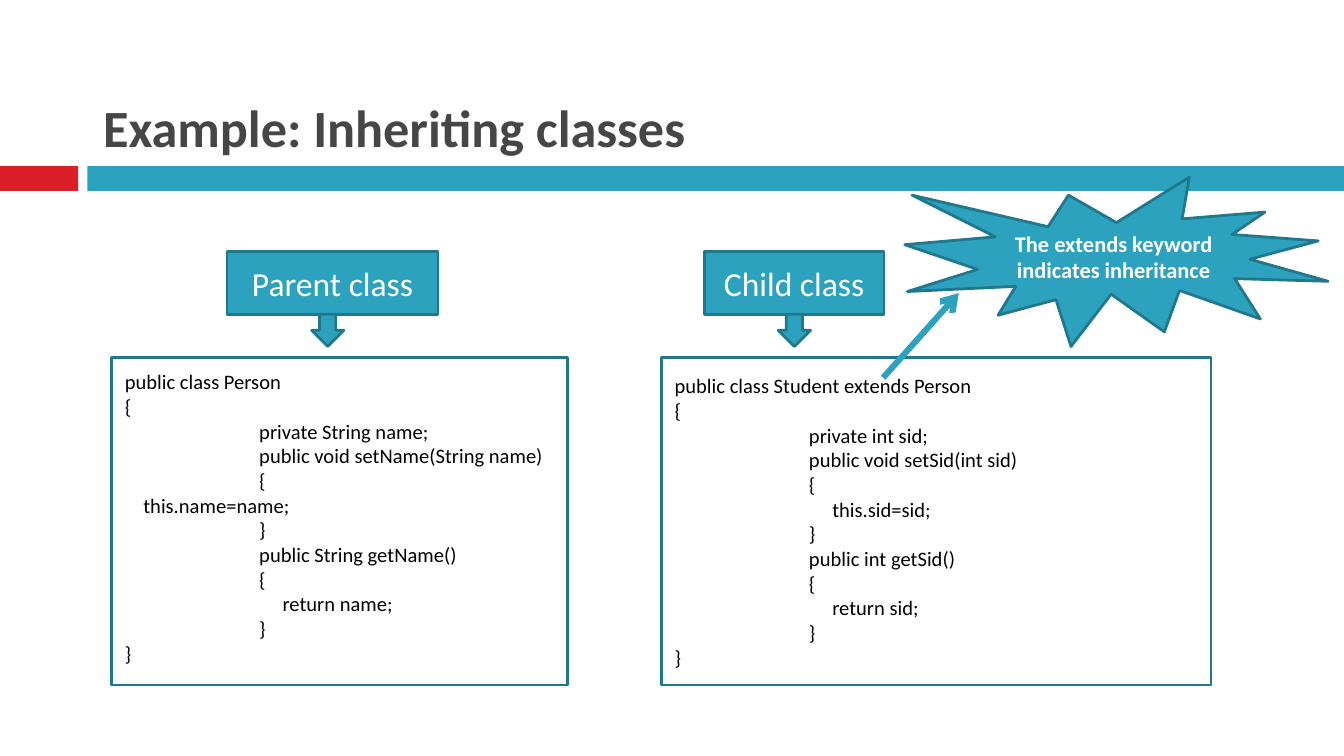
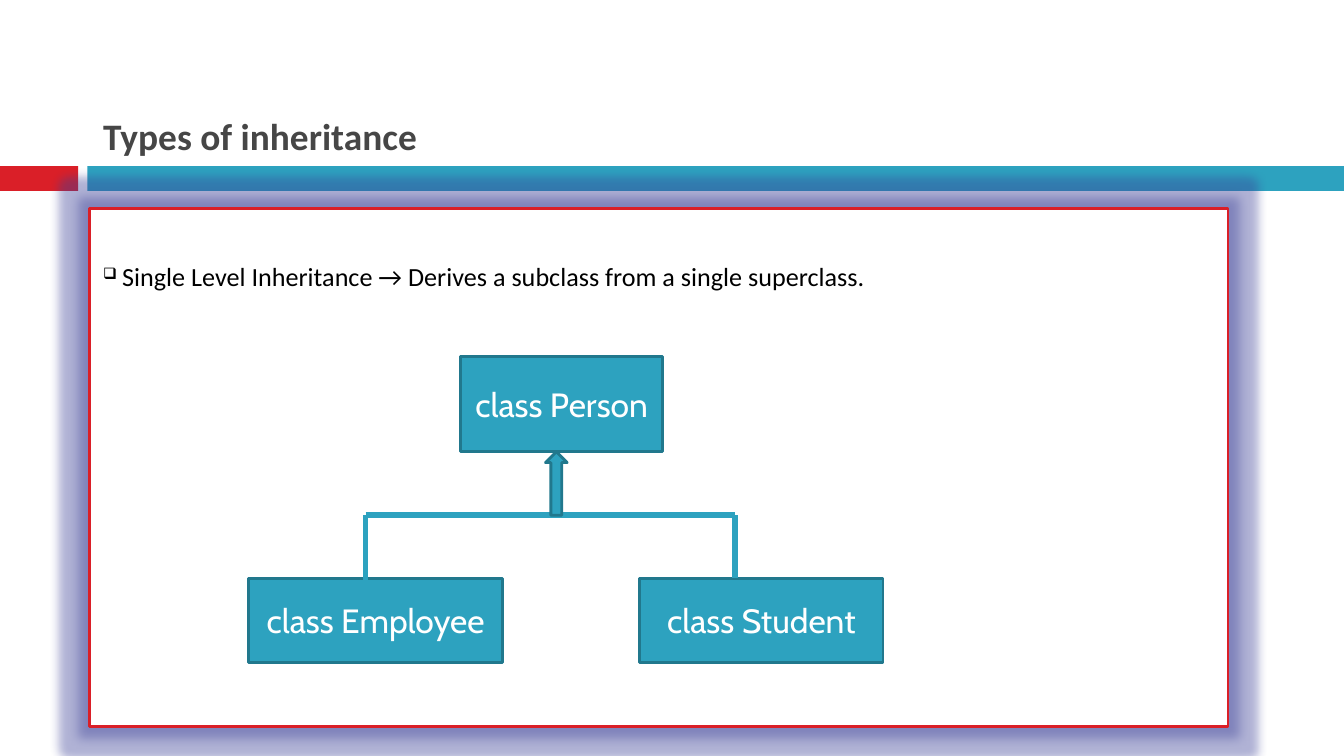
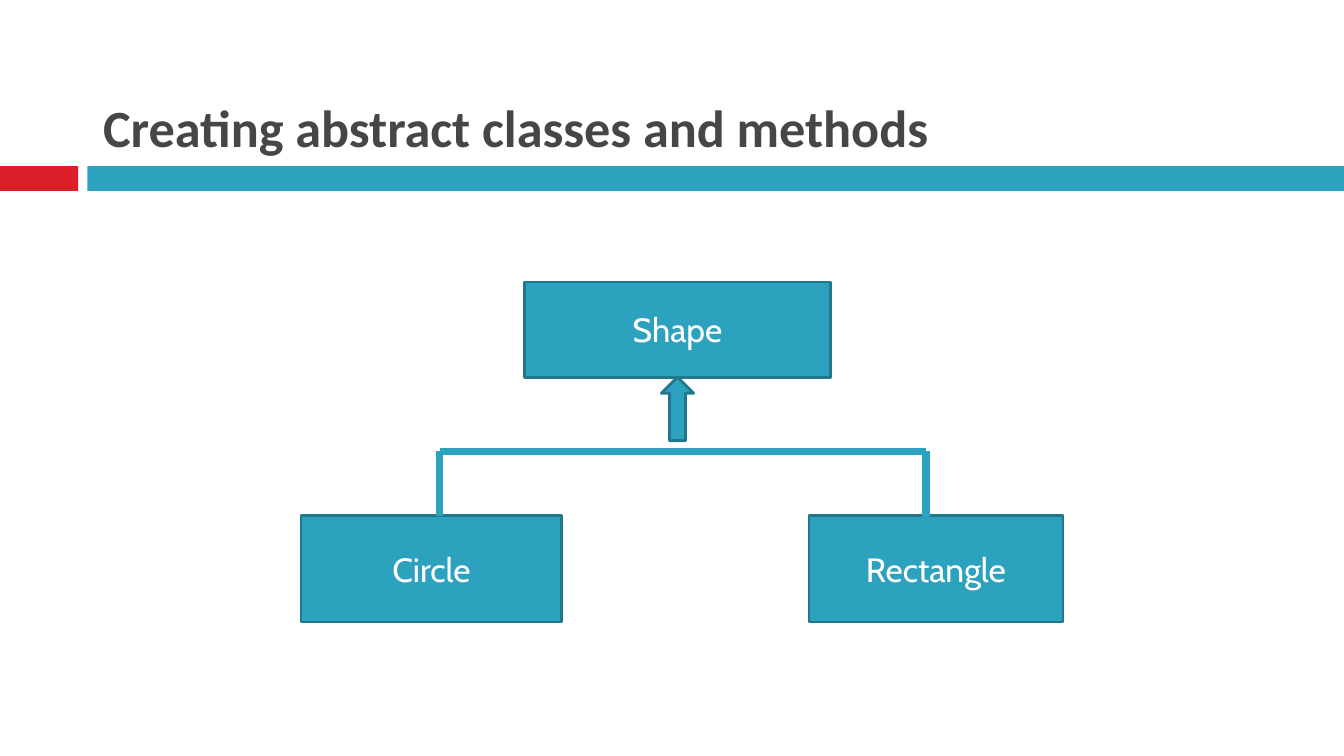
from collections import namedtuple
from dataclasses import dataclass

from lxml import etree
from pptx import Presentation
from pptx.dml.color import RGBColor
from pptx.enum import shapes, text
from pptx.oxml import ns
from pptx.util import Cm, Pt

Box = namedtuple("Box", "left top width height")
KIND = shapes.MSO_SHAPE
ALIGN = text.PP_ALIGN
ANCHOR = text.MSO_ANCHOR


@dataclass(frozen=True)
class Theme:
    white: str = "FFFFFF"
    black: str = "000000"
    ink: str = "464646"
    red: str = "DA1F28"
    teal: str = "2DA2BF"
    outline: str = "21788D"
    glow: str = "3A3F96"
    body_font: str = "Calibri"
    diagram_font: str = "Cabin"
    title_size: float = 28
    small_title_size: float = 20
    label_size: float = 18
    body_size: float = 14
    note_size: float = 12
    code_size: float = 11
    outline_width: float = 1.5


THEME = Theme()

PERSON_CODE = [
    (0, "public class Person"),
    (0, "{"),
    (2.54, "private String name;"),
    (2.54, "public void setName(String name)"),
    (2.54, "{"),
    (0.35, "this.name=name;"),
    (2.54, "}"),
    (2.54, "public String getName()"),
    (2.54, "{"),
    (2.98, "return name;"),
    (2.54, "}"),
    (0, "}"),
]

STUDENT_CODE = [
    (0, "public class Student extends Person"),
    (0, "{"),
    (2.54, "private int sid;"),
    (2.54, "public void setSid(int sid)"),
    (2.54, "{"),
    (2.98, "this.sid=sid;"),
    (2.54, "}"),
    (2.54, "public int getSid()"),
    (2.54, "{"),
    (2.98, "return sid;"),
    (2.54, "}"),
    (0, "}"),
]


def apply(target, values):
    for name, value in values.items():
        setattr(target, name, value)


def add_element(parent, tag, **attributes):
    element = etree.SubElement(parent, ns.qn(tag))
    for name, value in attributes.items():
        element.set(name, str(value))
    return element


def place(box, left, top, width, height):
    return Box(box.left + left, box.top + top, width, height)


def write(shape, lines, size, color, font=THEME.body_font, bold=False,
          align=ALIGN.LEFT, anchor=ANCHOR.MIDDLE, **margins):
    frame = shape.text_frame
    apply(frame, {"word_wrap": True, "vertical_anchor": anchor, **margins})
    for index, (indent, line) in enumerate(lines):
        paragraph = frame.paragraphs[0] if index == 0 else frame.add_paragraph()
        paragraph.alignment = align
        if indent:
            paragraph._p.get_or_add_pPr().set("marL", str(Cm(indent)))
        run = paragraph.add_run()
        run.text = line
        apply(run.font, {"name": font, "size": Pt(size), "bold": bold})
        run.font.color.rgb = RGBColor.from_string(color)


def add_block(slide, kind, box, fill=THEME.teal, outline=THEME.outline):
    shape = slide.shapes.add_shape(kind, *map(Cm, box))
    shape.shadow.inherit = False
    shape.fill.solid()
    shape.fill.fore_color.rgb = RGBColor.from_string(fill)
    if outline:
        shape.line.color.rgb = RGBColor.from_string(outline)
        shape.line.width = Pt(THEME.outline_width)
    else:
        shape.line.fill.background()
    return shape


def add_label(slide, box, label, font=THEME.diagram_font):
    shape = add_block(slide, KIND.RECTANGLE, box)
    write(shape, [(0, label)], THEME.label_size, THEME.white, font,
          align=ALIGN.CENTER)


def add_line(slide, start, end, width, arrow=False):
    connector = slide.shapes.add_connector(
        shapes.MSO_CONNECTOR.STRAIGHT, *map(Cm, (*start, *end)))
    connector.line.color.rgb = RGBColor.from_string(THEME.teal)
    connector.line.width = Pt(width)
    if arrow:
        add_element(connector.line._get_or_add_ln(), "a:tailEnd", type="arrow")
    add_element(connector._element.spPr, "a:effectLst")


def add_titled_slide(presentation, title, size=THEME.title_size):
    slide = presentation.slides.add_slide(presentation.slide_layouts[6])
    bands = ((0, 1.48, THEME.red), (1.65, 23.75, THEME.teal))
    for left, width, color in bands:
        add_block(slide, KIND.RECTANGLE, Box(left, 3.14, width, 0.47), color, None)
    title_box = slide.shapes.add_textbox(*map(Cm, (1.7, 0.33, 23.7, 2.79)))
    write(title_box, [(0, title)], size, THEME.ink, bold=True,
          anchor=ANCHOR.BOTTOM)
    return slide


def add_class_column(slide, box, heading, heading_left, heading_width,
                     arrow_left, code, bottom_margin=0.13):
    code_top, heading_height, arrow_size = 2.01, 1.19, 0.61
    panel = add_block(slide, KIND.RECTANGLE,
                      place(box, 0, code_top, box.width, box.height - code_top),
                      THEME.white)
    write(panel, code, THEME.code_size, THEME.black,
          margin_bottom=Cm(bottom_margin))
    add_label(slide, place(box, heading_left, 0, heading_width, heading_height),
              heading, THEME.body_font)
    add_block(slide, KIND.DOWN_ARROW,
              place(box, arrow_left, heading_height, arrow_size, arrow_size))


def add_callout(slide, box):
    add_line(slide, (box.left - 0.41, box.top + 3.79),
             (box.left + 1.02, box.top + 2.19), 3.25, arrow=True)
    burst = add_block(slide, KIND.EXPLOSION1, box)
    write(burst, [(0, "The extends keyword indicates inheritance")],
          THEME.note_size, THEME.white, bold=True, align=ALIGN.CENTER)


def add_glowing_panel(slide, box, statement):
    panel = add_block(slide, KIND.RECTANGLE, box, THEME.white, THEME.red)
    effects = panel._element.spPr.find(ns.qn("a:effectLst"))
    glow = add_element(effects, "a:glow", rad=Pt(11))
    color = add_element(glow, "a:srgbClr", val=THEME.glow)
    add_element(color, "a:alpha", val=40000)
    hanging = 0.36
    write(panel, [(hanging, statement)], THEME.body_size, THEME.black,
          align=ALIGN.JUSTIFY, anchor=ANCHOR.TOP, margin_top=Cm(0.98))
    properties = panel.text_frame.paragraphs[0]._p.get_or_add_pPr()
    properties.set("indent", str(-Cm(hanging)))
    bullet_color = add_element(properties, "a:buClr")
    add_element(bullet_color, "a:srgbClr", val=THEME.black)
    add_element(properties, "a:buSzPct", val=60000)
    add_element(properties, "a:buChar", char="❑")


def add_hierarchy(slide, box, parent, parent_left, parent_width, children,
                  child_height, bar_top, bar_width, arrow_left, arrow_width):
    parent_height, arrow_height = 1.8, 1.2
    child_top = box.height - child_height
    add_label(slide, place(box, parent_left, 0, parent_width, parent_height), parent)
    bar_y = box.top + bar_top
    ends = []
    for index, (label, width, stem_left, overlap) in enumerate(children):
        left = index * (box.width - width)
        add_label(slide, place(box, left, child_top, width, child_height), label)
        x = box.left + stem_left
        ends.append((x, bar_y))
        add_line(slide, (x, bar_y), (x, box.top + child_top + overlap), bar_width)
    add_line(slide, *ends, bar_width)
    add_block(slide, KIND.UP_ARROW,
              place(box, arrow_left, parent_height, arrow_width, arrow_height))


def add_example_slide(presentation):
    slide = add_titled_slide(presentation, "Example: Inheriting classes")
    add_class_column(slide, Box(2.11, 4.75, 8.61, 8.2), "Parent class",
                     2.18, 3.99, 3.78, PERSON_CODE, bottom_margin=0.28)
    add_class_column(slide, Box(12.5, 4.75, 10.39, 8.2), "Child class",
                     0.81, 3.4, 2.21, STUDENT_CODE)
    add_callout(slide, Box(17.1, 3.35, 8, 3.2))


def add_types_slide(presentation):
    slide = add_titled_slide(presentation, "Types of inheritance",
                             THEME.small_title_size)
    add_glowing_panel(
        slide, Box(1.7, 3.94, 21.51, 9.8),
        "Single Level Inheritance → Derives a subclass from a single superclass.")
    add_hierarchy(slide, Box(4.7, 6.74, 11.99, 5.79), "class Person", 4.01, 3.81,
                  [("class Employee", 4.8, 2.21, 0.2),
                   ("class Student", 4.6, 9.19, 0)],
                  child_height=1.6, bar_top=3, bar_width=3,
                  arrow_left=5.61, arrow_width=0.41)


def add_abstract_slide(presentation):
    slide = add_titled_slide(presentation, "Creating abstract classes and methods")
    add_hierarchy(slide, Box(5.69, 5.33, 14.4, 6.43), "Shape", 4.22, 5.79,
                  [("Circle", 4.93, 2.62, 0), ("Rectangle", 4.8, 11.81, 0.18)],
                  child_height=2.01, bar_top=3.2, bar_width=4,
                  arrow_left=6.81, arrow_width=0.61)


def main():
    presentation = Presentation()
    apply(presentation, {"slide_width": Cm(25.4), "slide_height": Cm(14.29)})
    for add_slide in (add_example_slide, add_types_slide, add_abstract_slide):
        add_slide(presentation)
    presentation.save("out.pptx")


if __name__ == "__main__":
    main()
